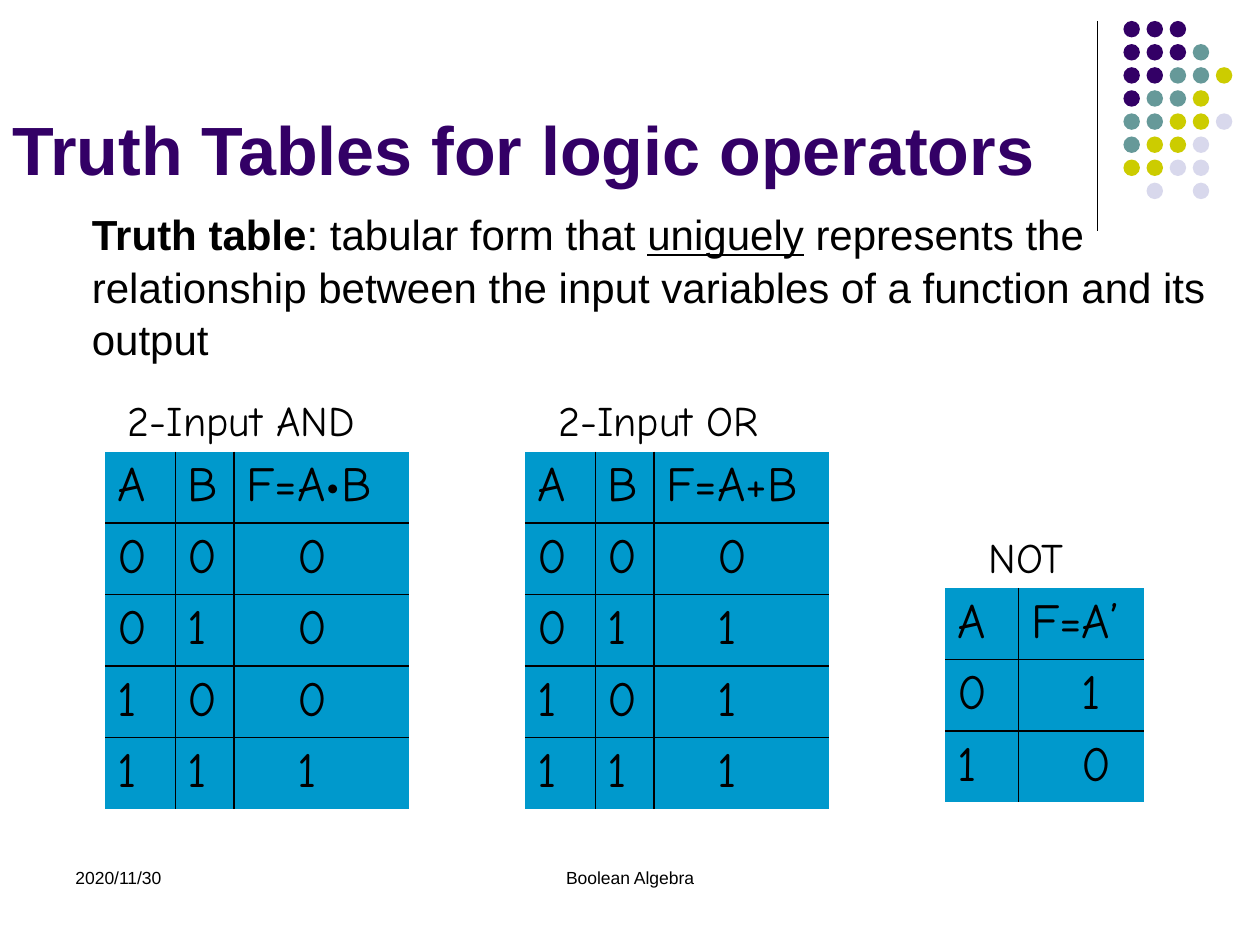
from dataclasses import dataclass

from lxml import etree
from pptx import Presentation
from pptx import util as u
from pptx.dml.color import RGBColor
from pptx.enum import shapes, text
from pptx.oxml import ns


@dataclass(frozen=True)
class Theme:
    """Colours, fonts and type sizes of the slide."""
    ink: str = "000000"
    purple: str = "330066"
    teal: str = "669999"
    olive: str = "CCCC00"
    mist: str = "D8D8EC"
    cell: str = "0099CC"
    sans: str = "Arial"
    hand: str = "Comic Neue"
    title: int = 39
    body: int = 24
    label: int = 24
    table: int = 28
    footer: int = 10


THEME = Theme()
GRID_COLS, GRID_ROWS = 120, 90
WIDTH, HEIGHT = u.Inches(10), u.Inches(7.5)
DOTS = ("PPP", "PPPT", "PPTTO", "PTTO", "TTOOM", "TOOM", "OOMM", " M M")
DOT_COLOURS = {"P": THEME.purple, "T": THEME.teal, "O": THEME.olive, "M": THEME.mist}
DOT_SIZE, DOT_PITCH = 1.57, 2.2
RESULT_INDENT = u.Inches(0.5)


def x(cols):
    """Length of a number of grid columns."""
    return round(WIDTH * cols / GRID_COLS)


def y(rows):
    """Length of a number of grid rows."""
    return round(HEIGHT * rows / GRID_ROWS)


def rgb(colour):
    """Colour object for a hex string."""
    return RGBColor.from_string(colour)


def style(r, size, name=THEME.sans, colour=THEME.ink, bold=False, underline=False):
    """Format one run."""
    f = r.font
    f.size, f.name, f.bold, f.underline = u.Pt(size), name, bold, underline
    f.color.rgb = rgb(colour)


def add_text(s, box, words, size, wrap=True, align=text.PP_ALIGN.LEFT,
             anchor=text.MSO_ANCHOR.TOP, **look):
    """Add a one-paragraph text box; box is left, top, width, height in grid units."""
    left, top, width, height = box
    tf = s.shapes.add_textbox(x(left), y(top), x(width), y(height)).text_frame
    tf.word_wrap, tf.vertical_anchor = wrap, anchor
    p = tf.paragraphs[0]
    p.alignment = align
    p.text = words
    for r in p.runs:
        style(r, size, **look)
    return tf


def add_definition(s):
    """Add the definition with its bold and underlined words."""
    tf = add_text(s, (3, 19, 115, 59.4), "", THEME.body)
    tf.margin_left = u.Inches(0.48)
    p = tf.paragraphs[0]
    p.line_spacing = 1.05
    for words, look in (
        ("Truth table", {"bold": True}),
        (": tabular form that ", {}),
        ("uniguely", {"underline": True}),
        (" represents the relationship between the input variables "
         "of a function and its output", {}),
    ):
        r = p.add_run()
        r.text = words
        style(r, THEME.body, **look)


def add_dots(s):
    """Add the corner pattern of dots."""
    group = s.shapes.add_group_shape()
    for row, line in enumerate(DOTS):
        for col, key in enumerate(line):
            if key == " ":
                continue
            sp = group.shapes.add_shape(
                shapes.MSO_SHAPE.OVAL, x(107 + col * DOT_PITCH),
                y(2 + row * DOT_PITCH), x(DOT_SIZE), y(DOT_SIZE))
            sp.shadow.inherit = False
            sp.fill.solid()
            sp.fill.fore_color.rgb = rgb(DOT_COLOURS[key])
            sp.line.fill.background()


def add_rule(s):
    """Add the vertical line beside the dots."""
    line = s.shapes.add_connector(
        shapes.MSO_CONNECTOR.STRAIGHT, x(104.5), y(2), x(104.5), y(22))
    line.line.color.rgb = rgb(THEME.ink)
    line.line.width = u.Pt(0.75)
    etree.SubElement(line._element.spPr, ns.qn("a:effectLst"))


def set_borders(cell, sides):
    """Draw the named sides (L, R, T, B) of a cell and clear the others."""
    tc_pr = cell._tc.get_or_add_tcPr()
    for i, side in enumerate("LRTB"):
        ln = etree.Element(ns.qn("a:ln" + side), w=str(u.Pt(1)))
        if side in sides:
            fill = etree.SubElement(ln, ns.qn("a:solidFill"))
            etree.SubElement(fill, ns.qn("a:srgbClr"), val=THEME.ink)
        else:
            etree.SubElement(ln, ns.qn("a:noFill"))
        tc_pr.insert(i, ln)


def add_truth_table(s, left, top, widths, row_height, rows):
    """Add a table with inner rules only and results set in from the left."""
    last_row, last_col = len(rows) - 1, len(widths) - 1
    table = s.shapes.add_table(
        len(rows), len(widths), x(left), y(top), x(sum(widths)),
        y(row_height * len(rows))).table
    table.first_row = table.horz_banding = False
    for column, width in zip(table.columns, widths):
        column.width = x(width)
    for i, values in enumerate(rows):
        table.rows[i].height = y(row_height)
        for j, value in enumerate(values):
            cell = table.cell(i, j)
            cell.fill.solid()
            cell.fill.fore_color.rgb = rgb(THEME.cell)
            inner = {"L": j > 0, "R": j < last_col, "T": i > 0, "B": i < last_row}
            set_borders(cell, [side for side, drawn in inner.items() if drawn])
            if i > 0 and j == last_col:
                cell.margin_left = RESULT_INDENT
            cell.text_frame.text = value
            style(cell.text_frame.paragraphs[0].runs[0], THEME.table, THEME.hand)


def add_operator(s, name, label_box, *table):
    """Add an operator's label and its truth table."""
    add_text(s, label_box, name, THEME.label, wrap=False, name=THEME.hand)
    add_truth_table(s, *table)


def main():
    """Build the slide and save it."""
    prs = Presentation()
    prs.slide_width, prs.slide_height = WIDTH, HEIGHT
    s = prs.slides.add_slide(prs.slide_layouts[6])
    add_rule(s)
    add_dots(s)
    add_text(s, (0, 3.6, 120, 15), "Truth Tables for logic operators", THEME.title,
             anchor=text.MSO_ANCHOR.BOTTOM, colour=THEME.purple, bold=True)
    add_definition(s)
    add_text(s, (6, 82, 28, 6), "2020/11/30", THEME.footer)
    add_text(s, (41, 82, 38, 6), "Boolean Algebra", THEME.footer,
             align=text.PP_ALIGN.CENTER)

    two_inputs = (6.7, 5.6, 16.7)
    add_operator(s, "2-Input AND", (11, 37, 27.1, 6), 10, 43, two_inputs, 6.55,
                 [("A", "B", "F=A•B"), "000", "010", "100", "111"])
    add_operator(s, "2-Input OR", (52, 37, 23.8, 6), 50, 43, two_inputs, 6.8,
                 [("A", "B", "F=A+B"), "000", "011", "101", "111"])
    add_operator(s, "NOT", (93, 50, 11.5, 6), 90, 56, (7, 12), 6.8,
                 [("A", "F=A’"), "01", "10"])
    prs.save("out.pptx")


main()
